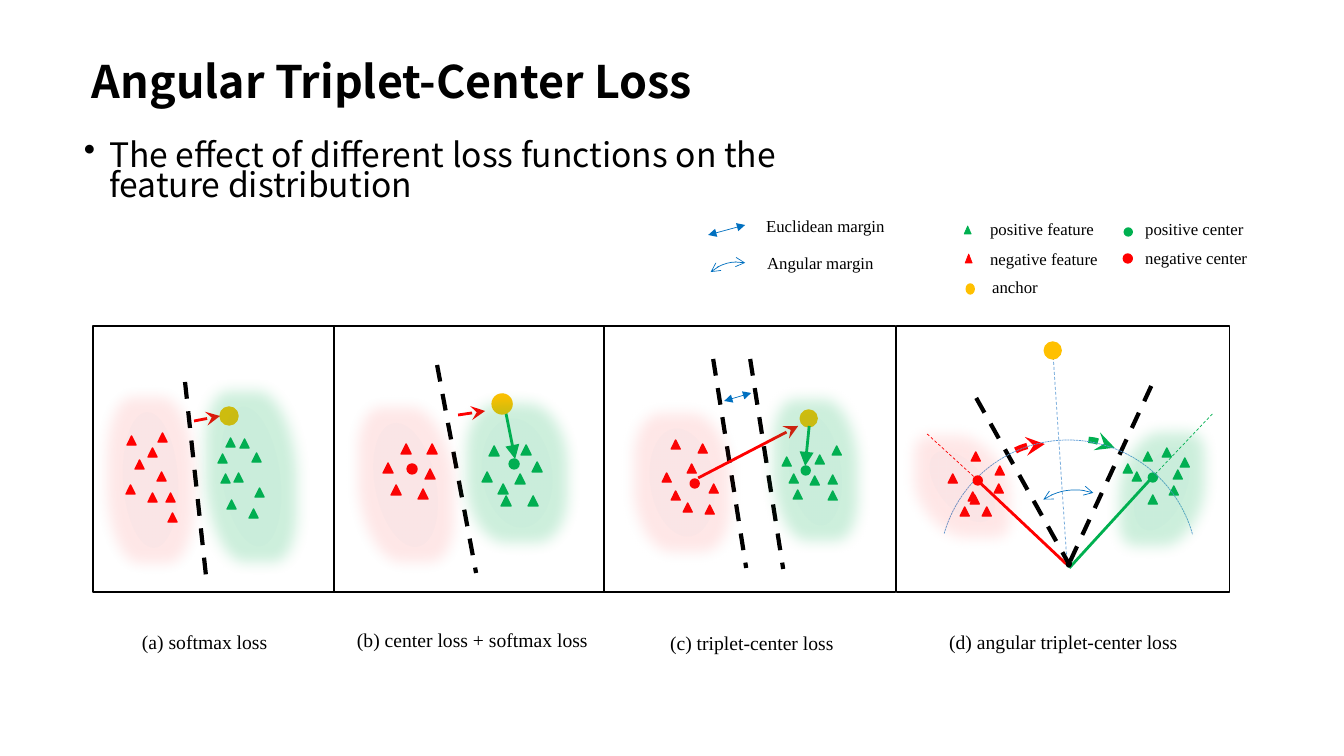
from lxml import etree
from pptx import Presentation
from pptx.dml.color import RGBColor
from pptx.enum.dml import MSO_LINE_DASH_STYLE as DASH
from pptx.enum.shapes import MSO_CONNECTOR, MSO_SHAPE as SHAPE
from pptx.enum.text import MSO_AUTO_SIZE as AUTO
from pptx.oxml.ns import qn
from pptx.util import Emu, Inches, Pt

BLACK = RGBColor(0x00, 0x00, 0x00)
WHITE = RGBColor(0xFF, 0xFF, 0xFF)
RED = RGBColor(0xFF, 0x00, 0x00)
GREEN = RGBColor(0x00, 0xB0, 0x50)
GOLD = RGBColor(0xFF, 0xC0, 0x00)
BLUE = RGBColor(0x00, 0x70, 0xC0)
PALE_BLUE = RGBColor(0x5B, 0x9B, 0xD5)

SERIF = "Times New Roman"
SANS = "Noto Sans CJK SC"
SCALE = 914400 / 100.8  # EMU per pixel


def px(n):
    return Emu(round(n * SCALE))


class Canvas:
    def __init__(self, slide):
        self.shapes = slide.shapes

    def set_line(self, line, color, width, dash=None, head=None, tail=None, size="med"):
        line.color.rgb = color
        line.width = Pt(width)
        if dash:
            line.dash_style = dash
        ln = line._get_or_add_ln()
        for tag, kind in (("a:headEnd", head), ("a:tailEnd", tail)):
            if kind:
                etree.SubElement(ln, qn(tag), type=kind, w=size, len=size)

    def shape(self, kind, x, y, w, h, fill=None, line=None, width=1, rot=0, **style):
        sp = self.shapes.add_shape(kind, px(x), px(y), px(w), px(h))
        sp.shadow.inherit = False
        sp.rotation = rot
        if fill is None:
            sp.fill.background()
        else:
            sp.fill.solid()
            sp.fill.fore_color.rgb = fill
        if line is None:
            sp.line.fill.background()
        else:
            self.set_line(sp.line, line, width, **style)
        return sp

    def dot(self, x, y, w, color, h=None):
        self.shape(SHAPE.OVAL, x, y, w, h or w, color, color)

    def triangles(self, points, color, size=9):
        for x, y in points:
            self.shape(SHAPE.ISOSCELES_TRIANGLE, x, y, size, size, color, color)

    def arc(self, x, y, w, h, angles, color, width, rot=0, **style):
        sp = self.shape(SHAPE.ARC, x, y, w, h, None, color, width, rot, **style)
        sp.adjustments[0], sp.adjustments[1] = angles

    def connector(self, x1, y1, x2, y2, color, width, **style):
        cn = self.shapes.add_connector(MSO_CONNECTOR.STRAIGHT, px(x1), px(y1), px(x2), px(y2))
        self.set_line(cn.line, color, width, **style)
        etree.SubElement(cn._element.spPr, qn("a:effectLst"))

    def boundary(self, *ends):
        self.connector(*ends, BLACK, 3, dash=DASH.DASH)

    def push(self, *ends):
        self.connector(*ends, RED, 2, tail="stealth", size="lg")

    def pull(self, *ends):
        self.connector(*ends, GREEN, 2, tail="triangle", size="lg")

    def glow(self, x, y, w, h, rot, color, percent):
        sp = self.shape(SHAPE.OVAL, x, y, w, h, PALE_BLUE, rot=rot)
        tint = sp._element.spPr.find(qn("a:solidFill"))[0]
        etree.SubElement(tint, qn("a:alpha"), val="2000")
        effects = sp._element.spPr.find(qn("a:effectLst"))
        halo = etree.SubElement(effects, qn("a:glow"), rad=str(px(30)))
        clr = etree.SubElement(halo, qn("a:srgbClr"), val=str(color))
        etree.SubElement(clr, qn("a:alpha"), val=str(percent * 1000))

    def text(self, x, y, w, h, text, size, font=SERIF, bold=False, wrap=True, grow=True):
        sp = self.shapes.add_textbox(px(x), px(y), px(w), px(h))
        tf = sp.text_frame
        tf.word_wrap = wrap
        tf.auto_size = AUTO.SHAPE_TO_FIT_TEXT if grow else AUTO.NONE
        p = tf.paragraphs[0]
        p.text = text
        p.font.name, p.font.size, p.font.bold = font, Pt(size), bold
        p.font.color.rgb = BLACK
        return p


prs = Presentation()
prs.slide_width, prs.slide_height = Inches(13.33), Inches(7.5)
s = Canvas(prs.slides.add_slide(prs.slide_layouts[6]))

# Title and bullet
s.text(82, 49, 655, 65, "Angular Triplet-Center Loss", 32, SANS, bold=True, wrap=False)
p = s.text(74, 139, 775, 96, "The effect of different loss functions on the feature distribution",
           24, SANS, grow=False)
p.line_spacing = 0.74
pPr = p._p.get_or_add_pPr()
pPr.set("marL", str(Inches(0.25)))
pPr.set("indent", str(-Inches(0.25)))
bullet = etree.Element(qn("a:buChar"), char="•")
pPr.find(qn("a:lnSpc")).addnext(bullet)

# Panel frames
for x, w in ((896, 333), (604, 291), (332, 272), (93, 241)):
    s.shape(SHAPE.RECTANGLE, x, 326, w, 266, WHITE, BLACK)

# (a) softmax loss
s.glow(123, 412, 55, 136, 356.8, RED, 10)
s.triangles([(127, 436), (148, 448), (126, 485), (135, 460), (158, 433), (157, 472),
             (166, 493), (148, 493), (168, 513)], RED)
s.triangles([(226, 438), (240, 439), (252, 453), (218, 454), (234, 473), (221, 474),
             (255, 488), (227, 500), (249, 509)], GREEN)
s.boundary(185, 382, 206, 576)
s.dot(220, 407, 18, GOLD)
s.push(194, 421, 220, 416)

# (b) center loss + softmax loss
s.pull(502, 394, 515, 459)
s.dot(407, 464, 10, RED)
s.dot(509, 459, 10, GREEN)
s.triangles([(401, 444), (427, 444), (383, 463), (418, 489), (425, 469), (391, 485)], RED, 10)
s.triangles([(482, 472), (521, 445), (489, 446), (501, 496), (515, 474), (528, 496),
             (532, 462), (498, 484)], GREEN, 10)
s.dot(492, 394, 20, GOLD)
s.boundary(437, 365, 476, 573)
s.push(458, 415, 485, 411)

# (c) triplet-center loss
s.dot(690, 479, 9, RED)
s.dot(801, 466, 9, GREEN)
s.triangles([(671, 440), (698, 444), (662, 473), (687, 464), (705, 505), (709, 484),
             (683, 503), (671, 491)], RED)
s.triangles([(789, 474), (815, 455), (782, 457), (810, 476), (828, 475), (828, 491),
             (832, 446), (793, 490)], GREEN)
s.dot(800, 410, 17, GOLD)
s.boundary(713, 359, 746, 568)
s.boundary(750, 359, 783, 569)
s.pull(809, 426, 805, 466)
s.push(698, 478, 798, 426)
s.connector(724, 401, 751, 393, BLUE, 0.5, head="triangle", tail="triangle")

# (d) angular triplet-center loss
s.connector(1052, 342, 1067, 566, PALE_BLUE, 0.5, dash=DASH.DASH)
s.dot(1148, 473, 9, GREEN)
s.triangles([(960, 507), (971, 452), (995, 466), (994, 484), (970, 495), (982, 507),
             (968, 492), (948, 474)], RED)
s.triangles([(1132, 472), (1143, 452), (1123, 464), (1169, 486), (1180, 458), (1162, 448),
             (1148, 495), (1173, 470)], GREEN)
s.dot(1044, 342, 17, GOLD)
s.connector(980, 483, 1066, 564, RED, 2)
s.connector(1155, 474, 1069, 568, GREEN, 2)
s.connector(927, 434, 974, 477, RED, 0.5, dash=DASH.DASH)
s.connector(1212, 414, 1155, 474, GREEN, 0.5, dash=DASH.DASH)
s.arc(984, 444, 116, 116, (170.48, 188.39), RED, 4.5, 318.5, tail="stealth")
s.arc(1065, 425, 106, 183, (174.16, 185.07), GREEN, 4.5, 318.5, tail="stealth")
s.dot(1066, 560, 5, BLACK, 7)
s.boundary(976, 398, 1067, 561)
s.boundary(1151, 386, 1070, 561)
s.arc(939, 440, 258, 258, (117.57, 206.68), PALE_BLUE, 0.5, dash=DASH.SQUARE_DOT)
s.arc(1017, 490, 116, 116, (158.9, 189.82), BLUE, 0.5, 331.8, head="arrow", tail="arrow")

# Class regions laid over the features
for region in ((375, 422, 61, 126, 348.6), (650, 428, 64, 109, 351.3), (939, 444, 46, 85, 319.6)):
    s.glow(*region, RED, 10)
for region in ((222, 406, 58, 141, 352.4), (482, 418, 70, 110, 352.4),
               (789, 414, 52, 112, 352.4), (1138, 445, 47, 88, 23.4)):
    s.glow(*region, GREEN, 20)
s.dot(973, 476, 9, RED)

# Legend
s.connector(708, 235, 745, 225, BLUE, 0.5, head="triangle", tail="triangle")
s.arc(697, 262, 80, 80, (154.07, 185.86), BLUE, 0.5, 331.8, head="arrow", tail="arrow")
s.shape(SHAPE.ISOSCELES_TRIANGLE, 964, 226, 7, 8, GREEN, GREEN, 0.5)
s.shape(SHAPE.ISOSCELES_TRIANGLE, 965, 254, 7, 9, RED, RED, 0.5)
s.dot(966, 284, 8, GOLD, 10)
s.dot(1124, 228, 8, GREEN)
s.dot(1123, 254, 9, RED)
for x, y, w, label in ((756, 211, 195, "Euclidean margin"), (757, 248, 136, "Angular margin"),
                       (980, 214, 152, "positive feature"), (980, 244, 155, "negative feature"),
                       (982, 272, 93, "anchor"), (1135, 214, 187, "positive center"),
                       (1135, 243, 175, "negative center")):
    s.text(x, y, w, 30, label, 12)

# Captions
for x, y, w, caption in ((132, 625, 184, "(a) softmax loss"),
                         (347, 623, 270, "(b) center loss + softmax loss"),
                         (660, 626, 213, "(c) triplet-center loss"),
                         (939, 625, 266, "(d) angular triplet-center loss")):
    s.text(x, y, w, 34, caption, 14)

prs.save("out.pptx")
